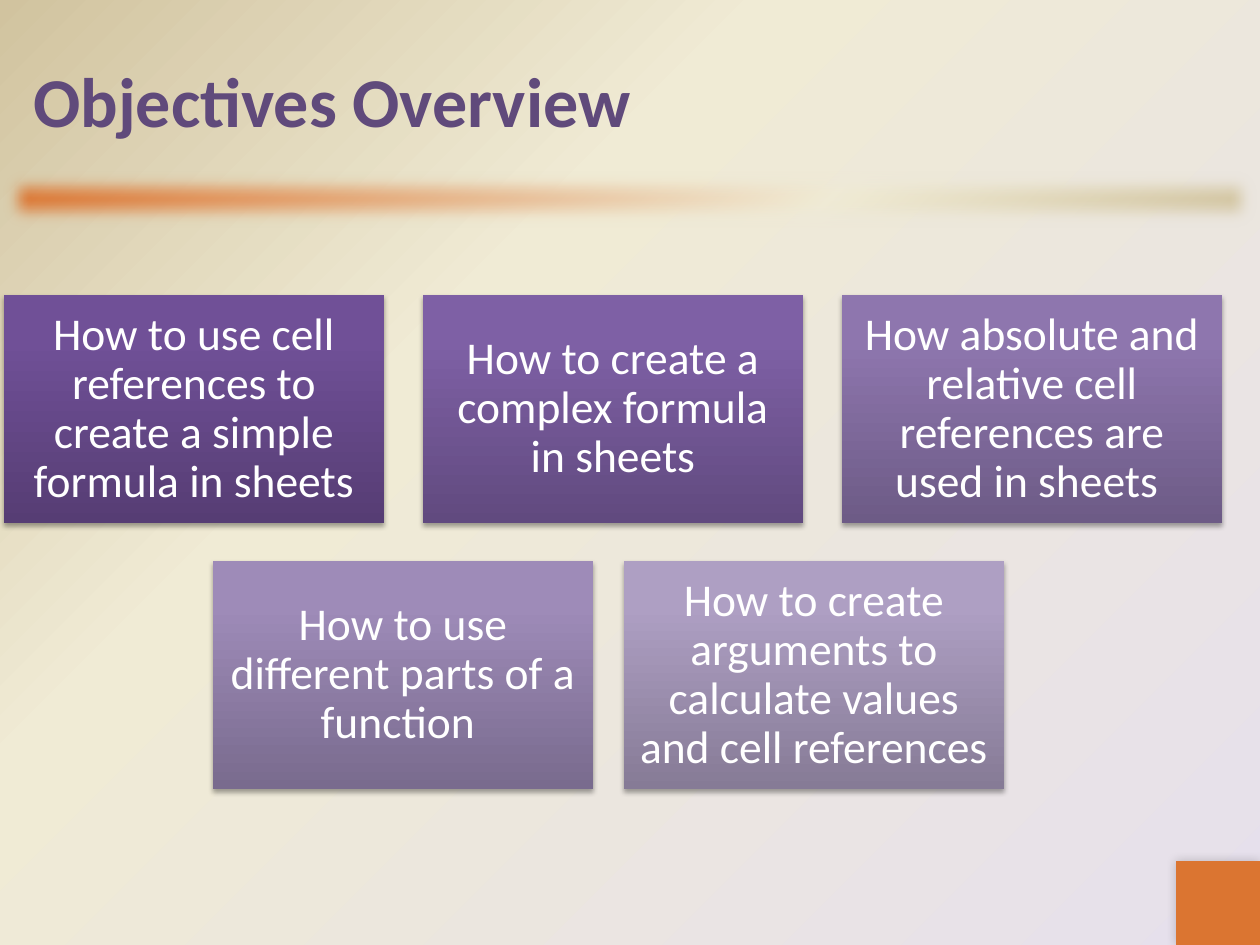
from lxml import etree
from pptx import Presentation
from pptx.dml.color import RGBColor
from pptx.enum.shapes import MSO_SHAPE
from pptx.enum.text import MSO_ANCHOR, PP_ALIGN
from pptx.oxml.ns import qn
from pptx.util import Emu, Pt

RECTANGLE = MSO_SHAPE.RECTANGLE
MIDDLE = MSO_ANCHOR.MIDDLE
LEFT, CENTER = PP_ALIGN.LEFT, PP_ALIGN.CENTER

PX_PER_INCH = 126
EMU_PER_PX = 914400 / PX_PER_INCH

COLORS = {
    "orange": "DB7531",
    "cream": "F0EBD5",
    "sand": "D1C39F",
    "lilac": "E6E0EC",
    "title": "604A7B",
    "white": "FFFFFF",
    "black": "000000",
}

# Text and gradient colours (bottom, at 80 %, top) of each objective
OBJECTIVE_ROWS = [
    (4, 295, 419, [
        ("How to use cell references to create a simple formula in sheets",
         ("563D74", "705097", "704F99")),
        ("How to create a complex formula in sheets",
         ("614A7F", "7E60A5", "7F60A7")),
        ("How absolute and relative cell references are used in sheets ",
         ("6D5B86", "8E76AE", "8E75B0")),
    ]),
    (213, 561, 411, [
        ("How to use different parts of a function ",
         ("796B8E", "9E8BB8", "9E8BBA")),
        ("How to create arguments to calculate values and cell references",
         ("867B96", "AE9FC3", "AE9FC4")),
    ]),
]
BOX_WIDTH, BOX_HEIGHT, BOX_INSET = 380, 228, 14


def px(length):
    return Emu(round(length * EMU_PER_PX))


def add_node(parent, tag, **attributes):
    values = {name: str(value) for name, value in attributes.items()}
    return etree.SubElement(parent, qn(tag), values)


def paint_gradient(properties, stops, angle=None):
    """Replace a solid fill by a linear gradient, or one from the bottom right corner."""
    solid = properties.find(qn("a:solidFill"))
    gradient = etree.Element(qn("a:gradFill"), rotWithShape="1")
    stop_list = add_node(gradient, "a:gsLst")
    for percent, color in stops:
        stop = add_node(stop_list, "a:gs", pos=percent * 1000)
        add_node(stop, "a:srgbClr", val=color)
    if angle is None:
        path = add_node(gradient, "a:path", path="circle")
        add_node(path, "a:fillToRect", l=100000, t=100000, r=0, b=0)
    else:
        add_node(gradient, "a:lin", ang=angle * 60000, scaled=0)
    properties.replace(solid, gradient)


def write_text(frame, text, *, size, color, font, bold=False, align=LEFT,
               line_spacing=1.0):
    frame.word_wrap = True
    frame.vertical_anchor = MIDDLE
    paragraph = frame.paragraphs[0]
    paragraph.alignment = align
    paragraph.line_spacing = line_spacing
    run = paragraph.add_run()
    run.text = text
    run.font.name = font
    run.font.size = Pt(size)
    run.font.bold = bold
    run.font.color.rgb = RGBColor.from_string(color)


class SlideBuilder:
    def __init__(self, slide, font="Calibri"):
        self.slide = slide
        self.font = font

    def background(self, stops):
        self.slide.background.fill.solid()
        properties = self.slide.element.xpath("p:cSld/p:bg/p:bgPr")[0]
        paint_gradient(properties, stops)

    def rectangle(self, left, top, width, height, color):
        shape = self.slide.shapes.add_shape(
            RECTANGLE, px(left), px(top), px(width), px(height))
        shape.fill.solid()
        shape.fill.fore_color.rgb = RGBColor.from_string(color)
        shape.line.fill.background()
        shape.shadow.inherit = False
        return shape

    def shadow(self, shape, alpha, blur, distance, angle):
        effects = shape.element.spPr.find(qn("a:effectLst"))
        outer = add_node(effects, "a:outerShdw", blurRad=Pt(blur), dist=Pt(distance),
                         dir=angle * 60000, algn="ctr", rotWithShape=0)
        color = add_node(outer, "a:srgbClr", val=COLORS["black"])
        add_node(color, "a:alpha", val=alpha * 1000)

    def soft_bar(self, left, top, width, height, stops):
        bar = self.rectangle(left, top, width, height, COLORS["orange"])
        properties = bar.element.spPr
        paint_gradient(properties, stops, angle=45)
        add_node(properties.find(qn("a:effectLst")), "a:softEdge", rad=Pt(10))

    def title(self, left, top, width, height, text):
        box = self.slide.shapes.add_textbox(px(left), px(top), px(width), px(height))
        write_text(box.text_frame, text, size=40, color=COLORS["title"],
                   font=self.font, bold=True)

    def objective(self, left, top, text, shades):
        box = self.rectangle(left, top, BOX_WIDTH, BOX_HEIGHT, shades[0])
        paint_gradient(box.element.spPr, zip((0, 80, 100), shades), angle=270)
        self.shadow(box, alpha=35, blur=3.1, distance=1.8, angle=90)
        frame = box.text_frame
        frame.margin_left = frame.margin_right = px(BOX_INSET)
        frame.margin_top = frame.margin_bottom = px(BOX_INSET)
        write_text(frame, text, size=26, color=COLORS["white"], font=self.font,
                   align=CENTER, line_spacing=0.9)


def main():
    presentation = Presentation()
    presentation.slide_width, presentation.slide_height = px(1260), px(945)
    builder = SlideBuilder(presentation.slides.add_slide(presentation.slide_layouts[6]))

    shared_stops = [(65, COLORS["cream"]), (100, COLORS["sand"])]
    builder.background([(0, COLORS["lilac"])] + shared_stops)
    builder.soft_bar(0, 168, 1260, 63, [(0, COLORS["orange"])] + shared_stops)
    corner = builder.rectangle(1176, 861, 84, 84, COLORS["orange"])
    builder.shadow(corner, alpha=20, blur=6, distance=0, angle=225)
    builder.title(21, 21, 1218, 158, "Objectives Overview")

    for left, top, pitch, objectives in OBJECTIVE_ROWS:
        for column, (text, shades) in enumerate(objectives):
            builder.objective(left + column * pitch, top, text, shades)

    presentation.save("out.pptx")


if __name__ == "__main__":
    main()
